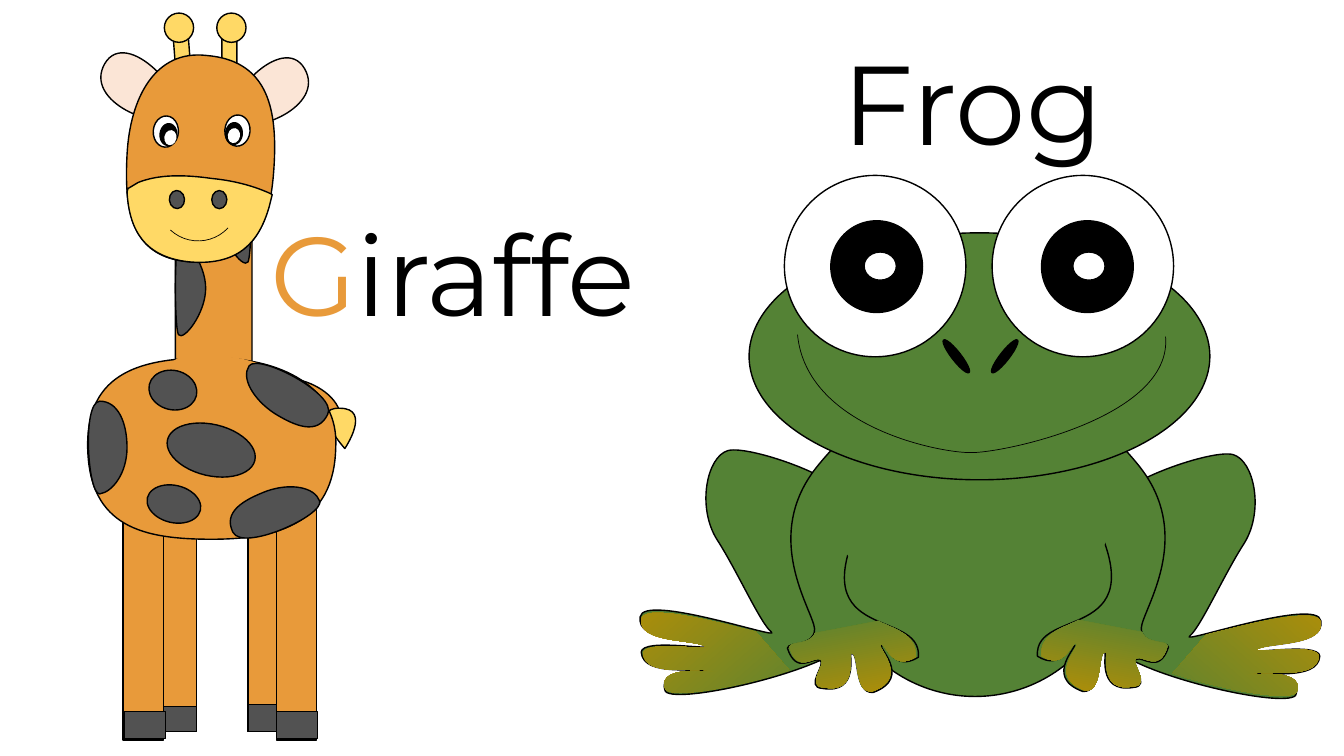
import math
from lxml import etree
from pptx import Presentation, util as u
from pptx.dml.color import RGBColor
from pptx.enum import shapes, text
from pptx.oxml.ns import qn


class Theme:
    white, black = "FFFFFF", "000000"
    green, gold = "548235", "BF9000"
    coat, patch, yellow, ear = "E89A3A", "525252", "FFD966", "FBE5D6"
    font, title_size = "Montserrat", 80
    outline, thin, text_outline = 1, 0.5, 0.75


T = Theme
KIND = shapes.MSO_SHAPE


def cm(inches):
    return u.Cm(inches * 2.54)


def rgb(value):
    return RGBColor.from_string(value)


def steps(outline):
    """Split 'M x y C x y ... Z' into (command, points) pairs."""
    result = []
    for token in outline.split():
        if token.isalpha():
            result.append((token, []))
        else:
            result[-1][1].append(float(token))
    return [(c, list(zip(v[::2], v[1::2]))) for c, v in result]


class Drawing:
    def __init__(self, slide):
        self.slide = slide
        self.shapes = slide.shapes

    def start_animal(self):
        self.shapes = self.slide.shapes.add_group_shape().shapes

    def paint(self, shape, fill, line, rotation):
        shape.shadow.inherit = False
        shape.rotation = rotation % 360
        if fill is None:
            shape.fill.background()
        elif isinstance(fill, tuple):
            shape.fill.gradient()
            shape.fill.gradient_angle = 270
            for stop, color in zip(shape.fill.gradient_stops, fill):
                stop.color.rgb = rgb(color)
        else:
            shape.fill.solid()
            shape.fill.fore_color.rgb = rgb(fill)
        if line:
            shape.line.color.rgb = rgb(T.black)
            shape.line.width = u.Pt(line)
        else:
            shape.line.fill.background()

    def preset(self, kind, box, fill, rotation=0, line=T.outline):
        shape = self.shapes.add_shape(kind, *map(cm, box))
        self.paint(shape, fill, line, rotation)

    def oval(self, box, fill, rotation=0, line=T.outline):
        self.preset(KIND.OVAL, box, fill, rotation, line)

    def curve(self, box, outline, fill, rotation=0, line=T.outline):
        """Outline points are slide positions; box is the frame before rotation."""
        left, top, width, height = box
        right, bottom = left + width, top + height
        builder = self.shapes.build_freeform(cm(left), cm(top))
        builder.add_line_segments([(cm(right), cm(top)), (cm(right), cm(bottom)),
                                   (cm(left), cm(bottom))])
        shape = builder.convert_to_shape()
        geometry = shape._element.xpath(".//a:path")[0]
        for child in list(geometry):
            geometry.remove(child)
        cos, sin = math.cos(math.radians(rotation)), math.sin(math.radians(rotation))
        tags = {"M": "a:moveTo", "L": "a:lnTo", "C": "a:cubicBezTo", "Z": "a:close"}
        for command, points in outline:
            size = 3 if command == "C" else 1
            for i in range(0, max(len(points), 1), size):
                node = etree.SubElement(geometry, qn(tags[command]))
                for x, y in points[i:i + size]:
                    dx, dy = x - left - width / 2, y - top - height / 2
                    etree.SubElement(node, qn("a:pt"),
                                     x=str(int(cm(dx * cos + dy * sin + width / 2))),
                                     y=str(int(cm(dy * cos - dx * sin + height / 2))))
        self.paint(shape, fill, line, rotation)

    def pair(self, box, outline, fill, mirror, drop, rotation=0, line=T.outline):
        """Draw a part and its reflection; mirror is the sum of both x values."""
        left, top, width, height = box
        self.curve(box, outline, fill, rotation, line)
        twin = [(c, [(mirror - x, y + drop) for x, y in p]) for c, p in outline]
        self.curve((mirror - left - width, top + drop, width, height), twin,
                   fill, -rotation, line)

    def word(self, box, *parts):
        frame = self.shapes.add_textbox(*map(cm, box)).text_frame
        layout = {"word_wrap": True, "auto_size": text.MSO_AUTO_SIZE.SHAPE_TO_FIT_TEXT}
        for name, value in layout.items():
            setattr(frame, name, value)
        for letters, color in parts:
            run = frame.paragraphs[0].add_run()
            run.text = letters
            for name, value in {"name": T.font, "size": u.Pt(T.title_size)}.items():
                setattr(run.font, name, value)
            run.font.color.rgb = rgb(color)
            edge = etree.Element(qn("a:ln"), w=str(int(u.Pt(T.text_outline))))
            solid = etree.SubElement(edge, qn("a:solidFill"))
            etree.SubElement(solid, qn("a:srgbClr"), val=T.black)
            run._r.get_or_add_rPr().insert(0, edge)


def draw_frog(d):
    d.start_animal()
    d.word((8.26, 0.28, 3.52, 1.45), ("Frog", T.black))
    # Legs, belly and arms
    leg = steps("M 7.11 5.35 C 6.91 5.03 7.01 4.53 7.22 4.47 7.44 4.41 8.5 4.79 8.41 5 "
                "8.33 5.2 8.54 6.04 8.44 6.33 8.34 6.62 6.73 7 6.6 6.86 "
                "6.48 6.55 7.26 6.7 7.1 6.66 6.94 6.61 6.38 6.73 6.36 6.47 "
                "6.37 6.32 7.14 6.47 7 6.4 6.86 6.33 6.31 6.37 6.35 6.12 "
                "6.38 5.88 7.77 6.36 7.65 6.27 7.54 6.18 7.31 5.66 7.11 5.35 Z")
    d.pair((6.11, 4.51, 2.49, 2.27), leg, T.green, 19.45, 0.04, -22.6)
    d.oval((8.23, 4.01, 2.88, 2.9), T.green)
    arm = steps("M 8.12 4.61 C 8.71 3.89 9.18 3.91 9.27 3.98 9.35 4.05 8.65 4.59 8.62 5.01 "
                "7.85 6.43 9.15 6 9.11 6.52 8.87 6.67 8.8 6.4 8.75 6.4 "
                "8.67 6.39 9.07 6.72 8.66 6.87 8.46 6.88 8.53 6.46 8.44 6.48 "
                "8.42 6.47 8.53 6.89 8.16 6.83 7.97 6.82 8.21 6.58 8.13 6.55 "
                "8.06 6.52 7.9 6.7 7.81 6.43 7.82 6.36 8.08 6.42 8.08 6.24 "
                "8.07 6.06 7.53 5.32 8.12 4.61 Z")
    d.pair((7.81, 3.95, 1.46, 2.92), arm, T.green, 19.4, -0.01)
    # Golden feet and hands
    foot = steps("M 6.5 6.08 C 6.42 6.08 6.37 6.1 6.36 6.14 6.33 6.38 6.85 6.34 6.99 6.41 "
                 "7.12 6.47 6.39 6.34 6.38 6.48 6.39 6.73 6.93 6.61 7.08 6.66 "
                 "7.24 6.7 6.49 6.55 6.6 6.84 6.68 6.93 7.31 6.82 7.8 6.66 "
                 "L 7.83 6.65 7.5 6.27 7.47 6.26 C 7.22 6.2 6.74 6.07 6.5 6.08 Z")
    d.pair((6.46, 5.8, 1.06, 1.36), foot, (T.gold, T.green), 19.46, 0.03, -41.1, 0)
    hand = steps("M 8.71 6.16 L 8.08 6.28 8.08 6.29 C 8.03 6.4 7.83 6.36 7.83 6.42 "
                 "7.91 6.69 8.07 6.51 8.14 6.54 8.21 6.57 7.98 6.81 8.17 6.82 "
                 "8.53 6.89 8.41 6.47 8.44 6.48 8.53 6.46 8.46 6.88 8.65 6.86 "
                 "9.05 6.72 8.66 6.39 8.74 6.39 8.79 6.4 8.85 6.66 9.08 6.52 "
                 "9.1 6.32 8.93 6.26 8.75 6.18 L 8.71 6.16 Z")
    d.pair((7.87, 6.21, 1.22, 0.68), hand, (T.green, T.gold), 19.41, -0.01, -10.8, 0)
    # Shoulders and head
    for left, top, turn in ((10.3, 4.56, 12.3), (8.22, 4.47, -12.3)):
        d.oval((left, top, 0.72, 1.18), T.green, turn, 0)
    d.oval((7.43, 2.31, 4.57, 2.45), T.green)
    # Eyes, nostrils and smile
    for eye, pupil, glint in ((9.84, 10.33, 10.64), (7.78, 8.24, 8.57)):
        d.oval((eye, 1.74, 1.8, 1.8), T.white)
        d.oval((pupil, 2.19, 0.91, 0.91), T.black)
        d.oval((glint, 2.5, 0.32, 0.28), T.white)
    for left, turn in ((9.28, 52), (9.76, -52)):
        d.oval((left, 3.49, 0.41, 0.09), T.black, turn)
    smile = steps("M 11.56 3.34 C 11.63 4.15 9.92 4.5 9.62 4.49 9.32 4.49 8 4.24 7.91 3.32")
    d.curve((8.21, 2.33, 3.15, 2.34), smile, None, 146.9, T.thin)


def draw_giraffe(d):
    d.start_animal()
    # Horns and ears
    for stem, top, knob, turn in ((2.2, 0.33, 2.15, 0), (1.75, 0.32, 1.63, -4.4)):
        d.preset(KIND.ROUNDED_RECTANGLE, (stem, top, 0.15, 0.93), T.yellow, turn)
        d.oval((knob, 0.13, 0.29, 0.29), T.yellow)
    ear = steps("M 1.73 1.14 C 1.89 0.96 1.26 0.26 1.04 0.63 0.82 1.01 1.58 1.31 1.73 1.14 Z")
    d.pair((1.13, 0.45, 0.51, 0.86), ear, T.ear, 4.06, 0.05, -54.5)
    # Tail
    tail = steps("M 2.97 4.08 C 2.34 3.56 3.37 3.73 3.38 4.15 3.17 4.06 3.28 4.03 2.97 4.08 Z")
    d.curve((2.93, 3.62, 0.3, 0.68), tail, T.coat, 106.9)
    tuft = steps("M 3.42 4.45 C 3.42 4.45 3.69 4.05 3.37 4.05 3.05 4.04 3.42 4.45 3.42 4.45 Z")
    d.curve((3.24, 4.05, 0.29, 0.41), tuft, T.yellow)
    # Legs with hooves
    for left, top, hoof in ((2.46, 4.91, (2.46, 6.99, 0.39, 0.27)),
                            (2.74, 4.99, (2.74, 7.06, 0.41, 0.27)),
                            (1.55, 4.91, (1.52, 7.01, 0.43, 0.25)),
                            (1.22, 4.99, (1.23, 7.06, 0.41, 0.27))):
        d.preset(KIND.RECTANGLE, (left, top, 0.4, 2.35), T.coat)
        d.preset(KIND.RECTANGLE, hoof, T.patch)
    # Neck and body
    d.preset(KIND.ROUNDED_RECTANGLE, (1.74, 1.16, 0.76, 3.56), T.coat)
    body = steps("M 0.87 4.45 C 0.85 3.68 1.42 3.55 2.1 3.55 2.78 3.55 3.37 3.83 3.33 4.45 "
                 "3.31 5.18 2.78 5.35 2.1 5.35 1.42 5.35 0.89 5.23 0.87 4.45 Z")
    d.curve((0.87, 3.55, 2.46, 1.8), body, T.coat)
    neck_spot = steps("M 2.19 2.14 C 2.19 1.89 2.41 1.61 2.46 1.68 2.5 1.76 2.5 2.52 2.46 2.6 "
                      "2.41 2.67 2.19 2.39 2.19 2.14 Z")
    d.pair((2.19, 1.67, 0.3, 0.94), neck_spot, T.patch, 4.23, 0.72)
    # Head and muzzle
    head = steps("M 1.93 2.6 C 1.3 2.58 1.23 2.1 1.26 1.53 1.29 0.97 1.54 0.49 2.05 0.55 "
                 "2.64 0.6 2.75 1.05 2.72 1.62 2.69 2.18 2.56 2.61 1.93 2.6 Z")
    d.curve((0.97, 0.84, 2.05, 1.47), head, T.coat, 273.3)
    muzzle = steps("M 1.27 1.87 L 1.37 1.81 C 1.57 1.73 1.82 1.73 2.1 1.77 "
                   "2.31 1.79 2.5 1.84 2.66 1.91 L 2.7 1.93 2.67 2.05 "
                   "C 2.57 2.4 2.37 2.63 1.9 2.6 1.43 2.56 1.28 2.28 1.26 1.9 L 1.27 1.87 Z")
    d.curve((1.23, 1.75, 1.43, 0.85), muzzle, T.yellow, 188)
    # Joint between neck and body
    for shift, drop in ((0, 0), (0.2, 0.04)):
        joint = steps("M 1.69 3.6 L 1.77 3.55 C 1.89 3.5 2.04 3.49 2.2 3.52 "
                      "2.28 3.54 2.36 3.56 2.43 3.59 L 2.48 3.62 2.28 3.8 "
                      "C 2.21 3.86 2.15 3.93 2.1 3.99 L 2.09 4 1.69 3.6 Z")
        moved = [(c, [(x + shift, y + drop) for x, y in p]) for c, p in joint]
        d.curve((1.81 + shift, 3.35 + drop, 0.49, 0.78), moved, T.coat, 280.4, 0)
    # Body spots
    for box in ((1.84, 4.02, 0.51, 0.89), (1.54, 4.73, 0.37, 0.54), (1.52, 3.63, 0.39, 0.48)):
        d.oval(box, T.patch, 283.3)
    for box, turn, outline in (
            ((0.88, 3.98, 0.39, 0.91), 0, "M 1.26 4.44 C 1.26 4.19 1.17 3.98 0.99 3.98 "
             "0.81 3.99 0.87 4.91 0.99 4.9 1.12 4.88 1.26 4.69 1.26 4.44 Z"),
            ((2.62, 3.47, 0.41, 0.92), 122, "M 2.72 4.1 C 2.93 4.23 3.15 4.32 3.25 4.11 "
             "3.35 3.91 2.56 3.5 2.47 3.63 2.39 3.75 2.51 3.96 2.72 4.1 Z"),
            ((2.51, 4.61, 0.41, 0.92), 250.1, "M 2.65 4.87 C 2.41 4.96 2.21 5.08 2.31 5.28 "
             "2.41 5.48 3.22 5.11 3.17 4.97 3.12 4.83 2.88 4.79 2.65 4.87 Z")):
        d.curve(box, steps(outline), T.patch, turn)
    # Nostrils, eyes and smile
    for left, turn in ((1.68, -3.4), (2.1, 180)):
        d.oval((left, 1.89, 0.15, 0.18), T.patch, turn)
    for eye, pupil, glint in (((2.23, 1.14), (2.23, 1.21), (2.26, 1.27)),
                              ((1.52, 1.15), (1.58, 1.22), (1.63, 1.29))):
        d.oval((*eye, 0.25, 0.31), T.white, 184.3)
        d.oval((*pupil, 0.18, 0.23), T.black, 184.9, 0)
        d.oval((*glint, 0.12, 0.15), T.white, 190.7, 0)
    d.preset(KIND.ARC, (1.56, 1.58, 0.81, 0.81), None, 132.9, T.thin)


def main():
    deck = Presentation()
    deck.slide_width, deck.slide_height = cm(13.33), cm(7.5)
    drawing = Drawing(deck.slides.add_slide(deck.slide_layouts[6]))
    draw_frog(drawing)
    draw_giraffe(drawing)
    drawing.shapes = drawing.slide.shapes
    drawing.word((2.58, 1.98, 4.52, 1.45), ("G", T.coat), ("iraffe", T.black))
    deck.save("out.pptx")


if __name__ == "__main__":
    main()
